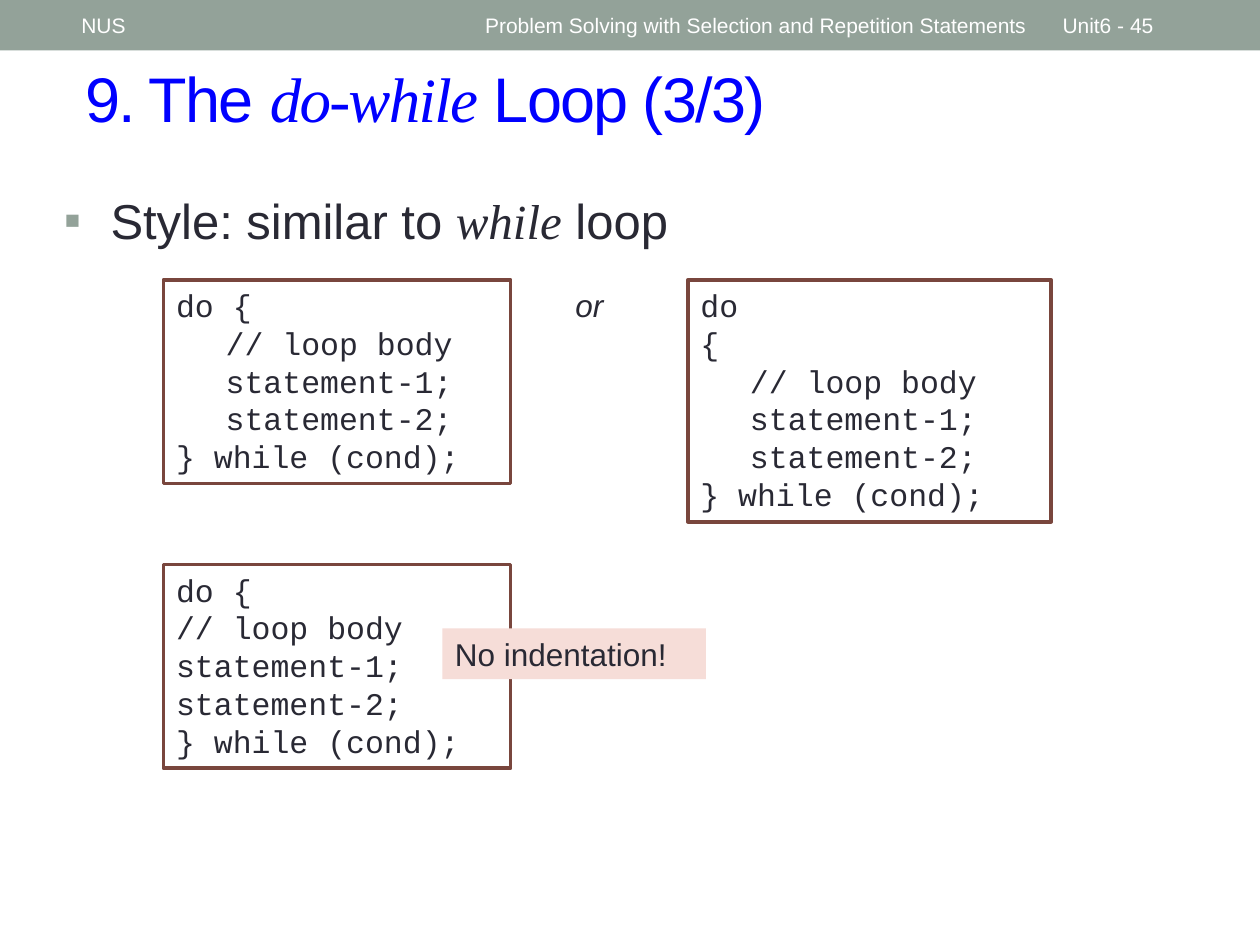
from dataclasses import dataclass

from lxml.etree import SubElement
from pptx import Presentation
from pptx.dml.color import RGBColor as Rgb
from pptx.enum.shapes import MSO_SHAPE as Form
from pptx.enum.text import MSO_ANCHOR as Anchor, MSO_AUTO_SIZE as Fit, PP_ALIGN as Align
from pptx.oxml.ns import qn
from pptx.shapes.autoshape import Shape
from pptx.slide import Slide
from pptx.util import Cm, Pt


@dataclass(frozen=True)
class Theme:
    sans: str = "Arial"
    serif: str = "Times New Roman"
    mono: str = "Courier New"
    sage: str = "93A299"
    white: str = "FFFFFF"
    blue: str = "0000FF"
    ink: str = "292934"
    brown: str = "79463D"
    pink: str = "F6DDD8"
    small: int = 12
    text: int = 18
    point: int = 28
    title: int = 36
    border: float = 2.08


@dataclass(frozen=True)
class Box:
    """Place and size in centimetres."""
    left: float
    top: float
    width: float
    height: float

    def cms(self) -> list[Cm]:
        return [Cm(n) for n in (self.left, self.top, self.width, self.height)]


@dataclass(frozen=True)
class Code:
    box: Box
    lines: tuple[str, ...]


LOOK = Theme()
BAR = 1.02
HEAD = [
    ("NUS", 1.39, 7.93),
    ("Problem Solving with Selection and Repetition Statements", 9.53, 11.43),
    ("Unit6 - 45", 21.17, 2.96),
]
ROW, LOW = 5.64, 11.38
LEFT, WIDE, TALL = 3.3, 6.99, 4.11
BODY = ("// loop body", "statement-1;", "statement-2;")
INSET = tuple("\t" + line for line in BODY)
END = "} while (cond);"
CODES = [
    Code(Box(LEFT, ROW, WIDE, TALL), ("do {", *INSET, END)),
    Code(Box(13.87, ROW, 7.32, 4.88), ("do", "{", *INSET, END)),
    Code(Box(LEFT, LOW, WIDE, TALL), ("do {", *BODY, END)),
]
TABS = (1, 2)


def rect(slide: Slide, box: Box, fill: str, line: str = "") -> Shape:
    shape = slide.shapes.add_shape(Form.RECTANGLE, *box.cms())
    shape.shadow.inherit = False
    shape.fill.solid()
    shape.fill.fore_color.rgb = Rgb.from_string(fill)
    if line:
        shape.line.color.rgb = Rgb.from_string(line)
        shape.line.width = Pt(LOOK.border)
    else:
        shape.line.fill.background()
    return shape


def label(slide: Slide, box: Box) -> Shape:
    return slide.shapes.add_textbox(*box.cms())


def write(shape: Shape, *lines: str, size: int = LOOK.text, color: str = LOOK.ink,
          font: str = LOOK.sans, italic: bool = False, align: Align = Align.LEFT,
          anchor: Anchor = Anchor.TOP, grow: bool = False, space: int = 0,
          tabs: tuple[float, ...] = (), bullet: str = "") -> None:
    """Fill a shape with lines; words between asterisks are serif italic."""
    frame = shape.text_frame
    frame.word_wrap = True
    frame.vertical_anchor = anchor
    frame.auto_size = Fit.SHAPE_TO_FIT_TEXT if grow else Fit.NONE
    for row, line in enumerate(lines):
        para = frame.add_paragraph() if row else frame.paragraphs[0]
        para.alignment = align
        props = para._p.get_or_add_pPr()
        if bullet:
            props.set("marL", str(Cm(0.94)))
            props.set("indent", str(-Cm(0.94)))
            tint = SubElement(props, qn("a:buClr"))
            SubElement(tint, qn("a:srgbClr"), val=LOOK.sage)
            SubElement(props, qn("a:buFont"), typeface=LOOK.sans)
            SubElement(props, qn("a:buChar"), char=bullet)
        if tabs:
            stops = SubElement(props, qn("a:tabLst"))
            for stop in tabs:
                SubElement(stops, qn("a:tab"), pos=str(Cm(stop)), algn="l")
        for part, words in enumerate(line.split("*")):
            accent = part % 2 == 1
            run = para.add_run()
            run.text = words
            run.font.size = Pt(size)
            run.font.name = LOOK.serif if accent else font
            run.font.italic = accent or italic
            run.font.color.rgb = Rgb.from_string(color)
            if space:
                run._r.get_or_add_rPr().set("spc", str(space))


def main() -> None:
    deck = Presentation()
    deck.slide_width, deck.slide_height = Cm(25.4), Cm(19.05)
    slide = deck.slides.add_slide(deck.slide_layouts[6])

    rect(slide, Box(0, 0, 25.4, BAR), LOOK.sage)
    for words, left, width in HEAD:
        write(label(slide, Box(left, 0.05, width, 0.92)), words, size=LOOK.small,
              color=LOOK.white, anchor=Anchor.MIDDLE)

    write(label(slide, Box(1.47, 1.07, 23.29, 2.34)), "9. The *do-while* Loop (3/3)",
          size=LOOK.title, color=LOOK.blue, space=-100)
    write(label(slide, Box(1.04, 3.71, 14.15, 3.05)), "Style: similar to *while* loop",
          size=LOOK.point, bullet="▪")

    for code in CODES:
        write(rect(slide, code.box, LOOK.white, LOOK.brown), *code.lines,
              font=LOOK.mono, tabs=TABS, grow=True)
    write(label(slide, Box(10.9, ROW, 1.96, 1.02)), "or", italic=True,
          align=Align.CENTER, grow=True)
    write(rect(slide, Box(8.92, 12.67, 5.31, 1.02), LOOK.pink), "No indentation!",
          grow=True)

    deck.save("out.pptx")


if __name__ == "__main__":
    main()
